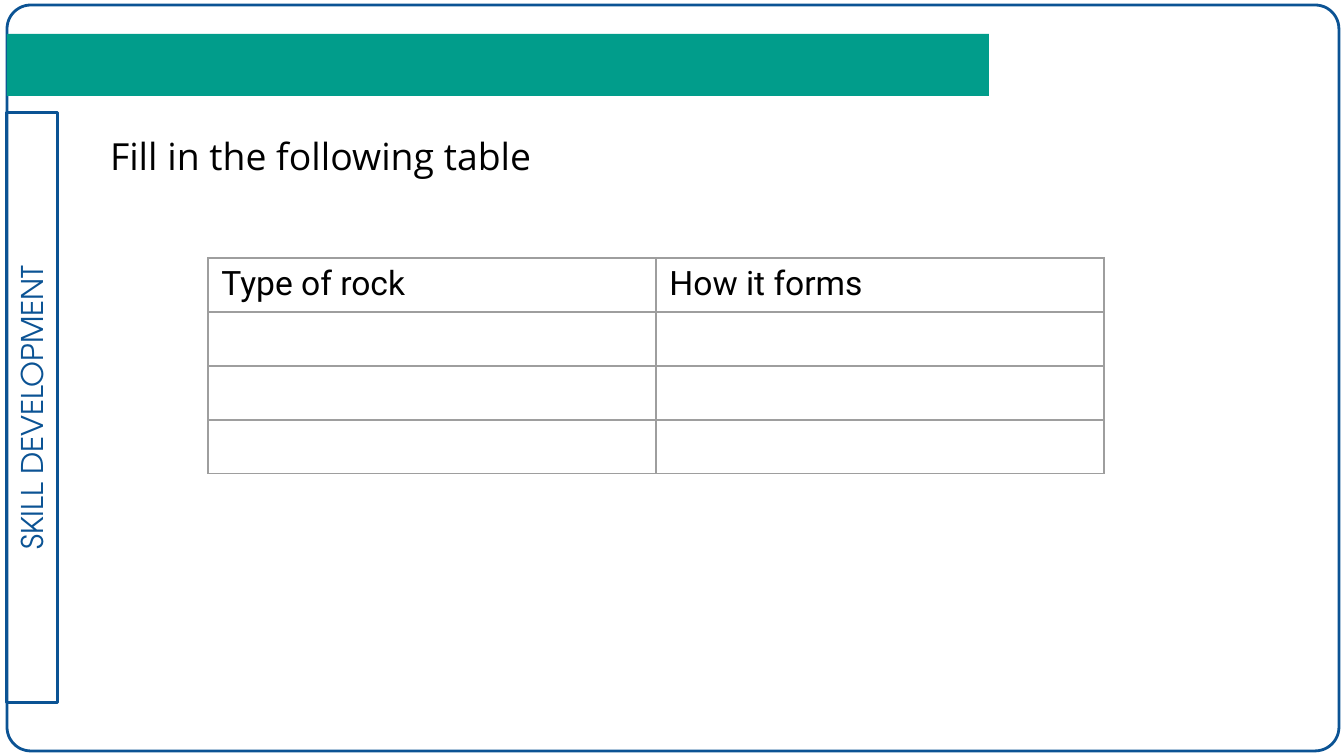
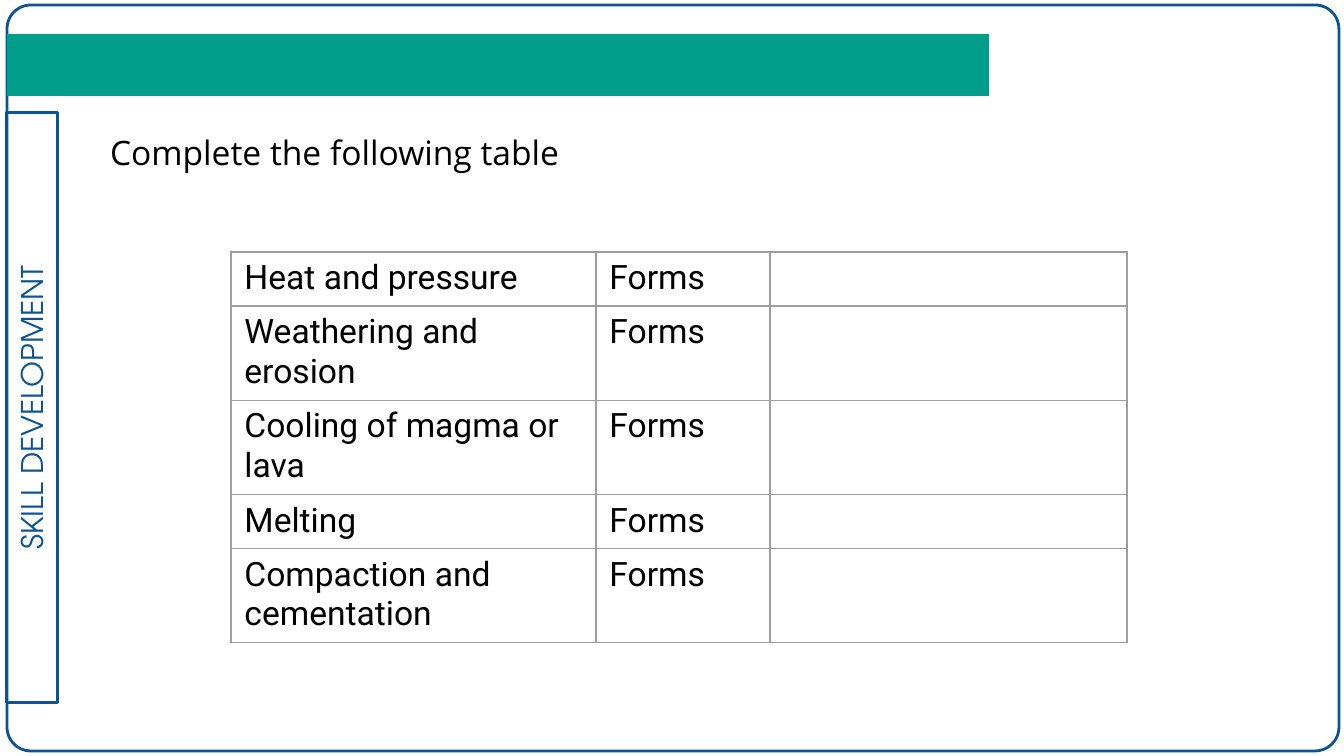
from dataclasses import dataclass
from typing import Optional

from lxml.etree import SubElement
from pptx import Presentation
from pptx.dml.color import RGBColor
from pptx.enum.shapes import MSO_SHAPE
from pptx.enum.text import MSO_ANCHOR, PP_ALIGN
from pptx.oxml.ns import qn
from pptx.util import Emu, Pt

PX_PER_INCH = 134.4


def px(length: int) -> Emu:
    return Emu(round(length * 914400 / PX_PER_INCH))


@dataclass(frozen=True)
class Theme:
    blue: str = "0B5394"
    green: str = "019D8B"
    ink: str = "000000"
    grid: str = "9E9E9E"
    tab_font: str = "TeX Gyre Adventor"
    body_font: str = "Open Sans"
    table_font: str = "Roboto"
    tab_size: int = 16
    table_size: int = 18
    outline: float = 1.5
    grid_line: float = 0.75
    inset: int = 13
    body_indent: int = 16
    body_spacing: float = 1.15


@dataclass(frozen=True)
class Area:
    left: int
    top: int
    width: int
    height: int

    def emu(self) -> tuple[Emu, Emu, Emu, Emu]:
        return px(self.left), px(self.top), px(self.width), px(self.height)


@dataclass(frozen=True)
class Panel:
    area: Area
    kind: MSO_SHAPE
    fill: Optional[str] = None
    line: Optional[str] = None
    corner: Optional[float] = None
    rotation: int = 0
    label: str = ""


@dataclass(frozen=True)
class Exercise:
    prompt: str
    prompt_size: int
    left: int
    top: int
    columns: tuple[int, ...]
    rows: tuple[tuple[str, ...], ...]


THEME = Theme()
SLIDE_WIDTH, SLIDE_HEIGHT = 1344, 756
ROW_HEIGHT = 54
PROMPT_AREA = Area(81, 113, 907, 610)

# Frame, side tab and title band shared by every slide
PANELS = (
    Panel(Area(7, 5, 1332, 746), MSO_SHAPE.ROUNDED_RECTANGLE,
          line=THEME.blue, corner=0.032),
    Panel(Area(-263, 382, 590, 51), MSO_SHAPE.RECTANGLE,
          line=THEME.blue, rotation=270, label="SKILL DEVELOPMENT"),
    Panel(Area(7, 34, 982, 62), MSO_SHAPE.RECTANGLE, fill=THEME.green),
)

PROCESSES = (
    "Heat and pressure",
    "Weathering and erosion",
    "Cooling of magma or lava",
    "Melting",
    "Compaction and cementation",
)

EXERCISES = (
    Exercise("Fill in the following table", 20, 208, 258, (448, 448),
             (("Type of rock", "How it forms"),) + (("", ""),) * 3),
    Exercise("Complete the following table", 18, 231, 252, (365, 174, 357),
             tuple((process, "Forms", "") for process in PROCESSES)),
)


def add_span(para, text: str, font: str, size: int, color: str) -> None:
    span = para.add_run()
    span.text = text
    span.font.name = font
    span.font.size = Pt(size)
    span.font.color.rgb = RGBColor.from_string(color)


def set_frame(frame, anchor: MSO_ANCHOR) -> None:
    frame.word_wrap = True
    frame.vertical_anchor = anchor
    frame.margin_left = frame.margin_right = px(THEME.inset)
    frame.margin_top = frame.margin_bottom = px(THEME.inset)


def add_panel(page, panel: Panel) -> None:
    shape = page.shapes.add_shape(panel.kind, *panel.area.emu())
    shape.shadow.inherit = False
    shape.rotation = panel.rotation
    if panel.corner is not None:
        shape.adjustments[0] = panel.corner
    if panel.fill:
        shape.fill.solid()
        shape.fill.fore_color.rgb = RGBColor.from_string(panel.fill)
    else:
        shape.fill.background()
    if panel.line:
        shape.line.color.rgb = RGBColor.from_string(panel.line)
        shape.line.width = Pt(THEME.outline)
    else:
        shape.line.fill.background()
    if panel.label:
        set_frame(shape.text_frame, MSO_ANCHOR.MIDDLE)
        para = shape.text_frame.paragraphs[0]
        para.alignment = PP_ALIGN.CENTER
        add_span(para, panel.label, THEME.tab_font, THEME.tab_size, THEME.blue)


def add_prompt(page, exercise: Exercise) -> None:
    box = page.shapes.add_textbox(*PROMPT_AREA.emu())
    set_frame(box.text_frame, MSO_ANCHOR.TOP)
    para = box.text_frame.paragraphs[0]
    para.line_spacing = THEME.body_spacing
    para._p.get_or_add_pPr().set("marL", str(px(THEME.body_indent)))
    add_span(para, exercise.prompt, THEME.body_font, exercise.prompt_size, THEME.ink)


def style_cell(cell) -> None:
    properties = cell._tc.get_or_add_tcPr()
    for side in ("lnL", "lnR", "lnT", "lnB"):
        border = SubElement(properties, qn(f"a:{side}"),
                            w=str(Pt(THEME.grid_line)))
        fill = SubElement(border, qn("a:solidFill"))
        SubElement(fill, qn("a:srgbClr"), val=THEME.grid)
    cell.fill.background()


def add_grid(page, exercise: Exercise) -> None:
    area = Area(exercise.left, exercise.top, sum(exercise.columns),
                ROW_HEIGHT * len(exercise.rows))
    table = page.shapes.add_table(len(exercise.rows), len(exercise.columns),
                                  *area.emu()).table
    table.first_row = table.horz_banding = False
    for column, width in zip(table.columns, exercise.columns):
        column.width = px(width)
    for row, texts in zip(table.rows, exercise.rows):
        row.height = px(ROW_HEIGHT)
        for cell, text in zip(row.cells, texts):
            style_cell(cell)
            if text:
                add_span(cell.text_frame.paragraphs[0], text,
                         THEME.table_font, THEME.table_size, THEME.ink)


def main() -> None:
    deck = Presentation()
    deck.slide_width, deck.slide_height = px(SLIDE_WIDTH), px(SLIDE_HEIGHT)
    blank = deck.slide_layouts[6]
    for exercise in EXERCISES:
        page = deck.slides.add_slide(blank)
        for panel in PANELS:
            add_panel(page, panel)
        add_prompt(page, exercise)
        add_grid(page, exercise)
    deck.save("out.pptx")


if __name__ == "__main__":
    main()
